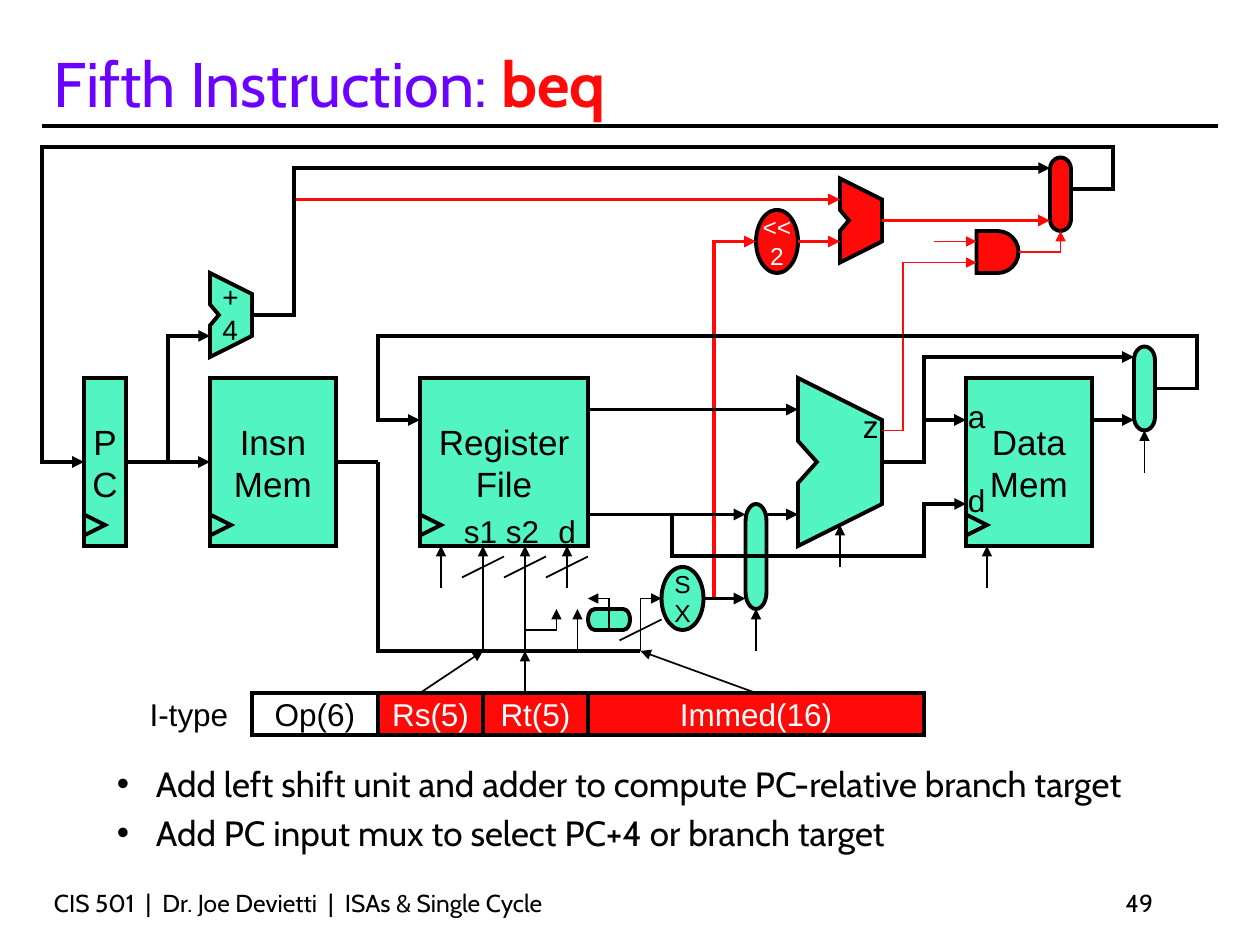
from lxml import etree
from pptx import Presentation
from pptx.dml.color import RGBColor
from pptx.enum import shapes, text
from pptx.oxml import ns
from pptx.util import Inches, Pt

BLACK = RGBColor(0x00, 0x00, 0x00)
INK = RGBColor(0x03, 0x03, 0x05)
WHITE = RGBColor(0xFF, 0xFF, 0xFF)
RED = RGBColor(0xFF, 0x09, 0x09)
MINT = RGBColor(0x52, 0xF4, 0xC2)
PURPLE = RGBColor(0x6B, 0x02, 0xFF)
GRID = 12  # the diagram lies on a grid of twelve units to the inch
THICK, THIN = 2.25, 1
KIND = shapes.MSO_SHAPE
TOP, MIDDLE, BOTTOM = text.MSO_ANCHOR.TOP, text.MSO_ANCHOR.MIDDLE, text.MSO_ANCHOR.BOTTOM
LEFT, CENTER, RIGHT = text.PP_ALIGN.LEFT, text.PP_ALIGN.CENTER, text.PP_ALIGN.RIGHT


def write(shape, lines, size=18, font="Arial", color=BLACK, align=LEFT, anchor=TOP, wrap=False):
    """Fill a shape with one paragraph per line and return its text frame."""
    frame = shape.text_frame
    frame.word_wrap = wrap
    frame.vertical_anchor = anchor
    for number, line in enumerate(lines):
        paragraph = frame.add_paragraph() if number else frame.paragraphs[0]
        paragraph.alignment = align
        run = paragraph.add_run()
        run.text = line
        run.font.size, run.font.name, run.font.color.rgb = Pt(size), font, color
    return frame


def outline(shape, color=BLACK, width=THICK, arrow=False):
    """Draw a mitred line without shadow, with an arrowhead at its end if asked."""
    shape.line.color.rgb = color
    shape.line.width = Pt(width)
    line = shape.line._ln
    etree.SubElement(line, ns.qn("a:miter"), lim="800000")
    if arrow:
        etree.SubElement(line, ns.qn("a:tailEnd"), type="triangle")
    etree.SubElement(shape._element.spPr, ns.qn("a:effectLst"))


presentation = Presentation()
presentation.slide_width, presentation.slide_height = Inches(10), Inches(7.5)
slide = presentation.slides.add_slide(presentation.slide_layouts[6])
canvas = slide.shapes

# Title, bullets and footer
title_box = canvas.add_textbox(Inches(0.33), Inches(0.25), Inches(8.83), Inches(0.75))
title = write(title_box, ["Fifth Instruction: "], size=36, font="Cabin", color=PURPLE,
              anchor=BOTTOM, wrap=True).paragraphs[0]
opcode = title.add_run()
opcode.text = "beq"
opcode.font.size, opcode.font.name, opcode.font.bold = Pt(36), "Cabin", True
opcode.font.color.rgb = RED

bullet_box = canvas.add_textbox(Inches(0.33), Inches(6), Inches(9.33), Inches(0.83))
bullets = write(bullet_box, ["Add left shift unit and adder to compute PC-relative branch target",
                             "Add PC input mux to select PC+4 or branch target"],
                size=20, font="Cabin", color=INK, wrap=True)
for number, paragraph in enumerate(bullets.paragraphs):
    paragraph.level = 1
    paragraph.space_before = Pt(4 if number else 0)
    properties = paragraph._p.get_or_add_pPr()
    properties.set("marL", str(Inches(0.81)))
    properties.set("indent", str(Inches(-0.31)))
    bullet_color = etree.SubElement(properties, ns.qn("a:buClr"))
    etree.SubElement(bullet_color, ns.qn("a:srgbClr"), val=str(INK))
    etree.SubElement(properties, ns.qn("a:buFont"), typeface="Arial")
    etree.SubElement(properties, ns.qn("a:buChar"), char="•")

for left, width, line, align in [
        (0.33, 6.25, "CIS 501  |  Dr. Joe Devietti  |  ISAs & Single Cycle", LEFT),
        (7.17, 2.08, "49", RIGHT)]:
    box = canvas.add_textbox(Inches(left), Inches(7), Inches(width), Inches(0.33))
    write(box, [line], size=14, font="Cabin", align=align, anchor=BOTTOM, wrap=True)

# Units and instruction fields: kind, left, top, width, height, rotation, fill, lines, size, color
parts = [
    (KIND.RECTANGLE, 8, 36, 4, 16, 0, MINT, ["P", "C"], 20, BLACK),
    (KIND.RECTANGLE, 20, 36, 12, 16, 0, MINT, ["Insn", "Mem"], 20, BLACK),
    (KIND.RECTANGLE, 40, 36, 16, 16, 0, MINT, ["Register", "File"], 20, BLACK),
    (KIND.RECTANGLE, 92, 36, 12, 16, 0, MINT, ["Data", "Mem"], 20, BLACK),
    (KIND.FLOWCHART_CONNECTOR, 63, 54, 4, 6, 0, MINT, ["S", "X"], 14, BLACK),
    (KIND.FLOWCHART_CONNECTOR, 72, 20, 4, 6, 0, RED, ["<<", "2"], 14, WHITE),
    (KIND.RECTANGLE, 24, 66, 12, 4, 0, None, ["Op(6)"], 18, BLACK),
    (KIND.RECTANGLE, 36, 66, 10, 4, 0, RED, ["Rs(5)"], 18, WHITE),
    (KIND.RECTANGLE, 46, 66, 10, 4, 0, RED, ["Rt(5)"], 18, WHITE),
    (KIND.RECTANGLE, 56, 66, 32, 4, 0, RED, ["Immed(16)"], 18, WHITE),
    (KIND.FLOWCHART_TERMINATOR, 67, 52, 10, 2, 90, MINT, [], 18, BLACK),
    (KIND.FLOWCHART_TERMINATOR, 56, 58, 4, 2, 180, MINT, [], 18, BLACK),
    (KIND.FLOWCHART_TERMINATOR, 105, 36, 8, 2, 90, MINT, [], 18, BLACK),
    (KIND.FLOWCHART_TERMINATOR, 97.5, 17.5, 7, 2, 90, RED, [], 18, BLACK),
    (KIND.FLOWCHART_DELAY, 93, 22, 4, 4, 0, RED, [], 18, BLACK),
]
for clocked_left in (8, 20, 40, 92):
    parts.append((KIND.ISOSCELES_TRIANGLE, clocked_left, 49, 2, 2, 90, MINT, [], 18, BLACK))

ports = {}  # middle of a rectangle's side -> (rectangle, connection site)
for kind, left, top, width, height, rotation, fill, lines, size, color in parts:
    shape = canvas.add_shape(kind, *(Inches(v / GRID) for v in (left, top, width, height)))
    shape.rotation = rotation
    if fill is None:
        shape.fill.background()
    else:
        shape.fill.solid()
        shape.fill.fore_color.rgb = fill
    outline(shape)
    write(shape, lines, size=size, color=color, align=CENTER, anchor=MIDDLE)
    if kind == KIND.RECTANGLE:
        center, middle = left + width / 2, top + height / 2
        sides = [(center, top), (left, middle), (center, top + height), (left + width, middle)]
        ports.update({side: (shape, site) for site, side in enumerate(sides)})

# Adders and ALU: left, top, width, height, notch depth, half the notch height, fill
for left, top, width, height, notch, half, fill in [
        (76, 36, 8, 16, 1.8, 2, MINT), (20, 26, 4, 8, 0.85, 1, MINT), (80, 17, 4, 8, 0.85, 1, RED)]:
    right, bottom, middle = left + width, top + height, top + height / 2
    corners = [(left, middle - half), (left + notch, middle), (left, middle + half),
               (left, bottom), (right, bottom - height / 4), (right, top + height / 4)]
    builder = canvas.build_freeform(Inches(left / GRID), Inches(top / GRID))
    builder.add_line_segments([(Inches(x / GRID), Inches(y / GRID)) for x, y in corners])
    unit = builder.convert_to_shape()
    unit.fill.solid()
    unit.fill.fore_color.rgb = fill
    outline(unit)

# Wires by style: color, width, arrow, point lists
wire_groups = [
    (RED, THICK, True, [
        [(76, 23), (80, 23)], [(28, 19), (80, 19)], [(84, 21), (100, 21)],
        [(68, 57), (68, 23), (72, 23)]]),
    (RED, THIN, True, [
        [(89, 23), (93, 23)], [(84, 41), (86, 41), (86, 25), (93, 25)],
        [(97, 24), (101, 24), (101, 22)]]),
    (BLACK, THICK, False, [
        [(4, 12), (116, 12)], [(32, 44), (36, 44)], [(36, 44), (36, 62), (61, 62)]]),
    (BLACK, THICK, True, [
        [(12, 44), (20, 44)], [(56, 39), (76, 39)], [(56, 49), (71, 49)], [(73, 49), (76, 49)],
        [(67, 57), (71, 57)], [(88, 40), (92, 40)], [(104, 40), (108, 40)],
        [(84, 44), (88, 44), (88, 34), (108, 34)],
        [(64, 49), (64, 53), (88, 53), (88, 48), (92, 48)],
        [(16, 44), (16, 32), (20, 32)],
        [(110, 37), (114, 37), (114, 32), (36, 32), (36, 40), (40, 40)],
        [(24, 30), (28, 30), (28, 16), (100, 16)],
        [(102, 18), (106, 18), (106, 14), (4, 14), (4, 44), (8, 44)]]),
    (BLACK, THIN, False, [
        [(x, y), (x - 4, y + 2)] for x, y in [(48, 53), (52, 53), (56, 53), (63, 59)]]),
    (BLACK, THIN, True, [
        [(x, start), (x, end)] for x, start, end in [
            (42, 56, 52), (46, 62, 52), (50, 62, 52), (54, 56, 52), (94, 56, 52), (80, 54, 50),
            (72, 62, 58), (55, 62, 58), (109, 45, 41), (50, 66, 62)]]),
    (BLACK, THIN, True, [
        [(40, 66), (46, 62)], [(72, 66), (61, 62)], [(61, 62), (61, 57), (63, 57)],
        [(50, 60), (53, 60), (53, 58)], [(58, 60), (58, 57), (56, 57)]]),
]
for color, width, arrow, wires in wire_groups:
    for points in wires:
        places = [(Inches(x / GRID), Inches(y / GRID)) for x, y in points]
        if len(points) == 2:
            wire = canvas.add_connector(shapes.MSO_CONNECTOR.STRAIGHT, *places[0], *places[1])
            if points[0] in ports:
                wire.begin_connect(*ports[points[0]])
            if points[1] in ports:
                wire.end_connect(*ports[points[1]])
        else:
            builder = canvas.build_freeform(*places[0])
            builder.add_line_segments(places[1:], close=False)
            wire = builder.convert_to_shape()
            wire.fill.background()
        outline(wire, color, width, arrow)

# Port names and other labels
for left, top, width, height, lines, size, align, anchor in [
        (43, 48.2, 6, 4.8, ["s1"], 18, LEFT, TOP),
        (47, 48.2, 6, 4.8, ["s2"], 18, LEFT, TOP),
        (52, 48.2, 4.2, 4.8, ["d"], 18, LEFT, TOP),
        (91, 37.2, 4.2, 4.8, ["a"], 18, LEFT, TOP),
        (91, 45.2, 4.2, 4.8, ["d"], 18, LEFT, TOP),
        (81, 38.2, 3.8, 4.8, ["z"], 18, LEFT, TOP),
        (20, 26, 4, 7.6, ["+", "4"], 16, LEFT, TOP),
        (12, 66, 12, 4, ["I-type"], 18, CENTER, MIDDLE)]:
    label = canvas.add_textbox(*(Inches(v / GRID) for v in (left, top, width, height)))
    write(label, lines, size=size, align=align, anchor=anchor)

presentation.save("out.pptx")
